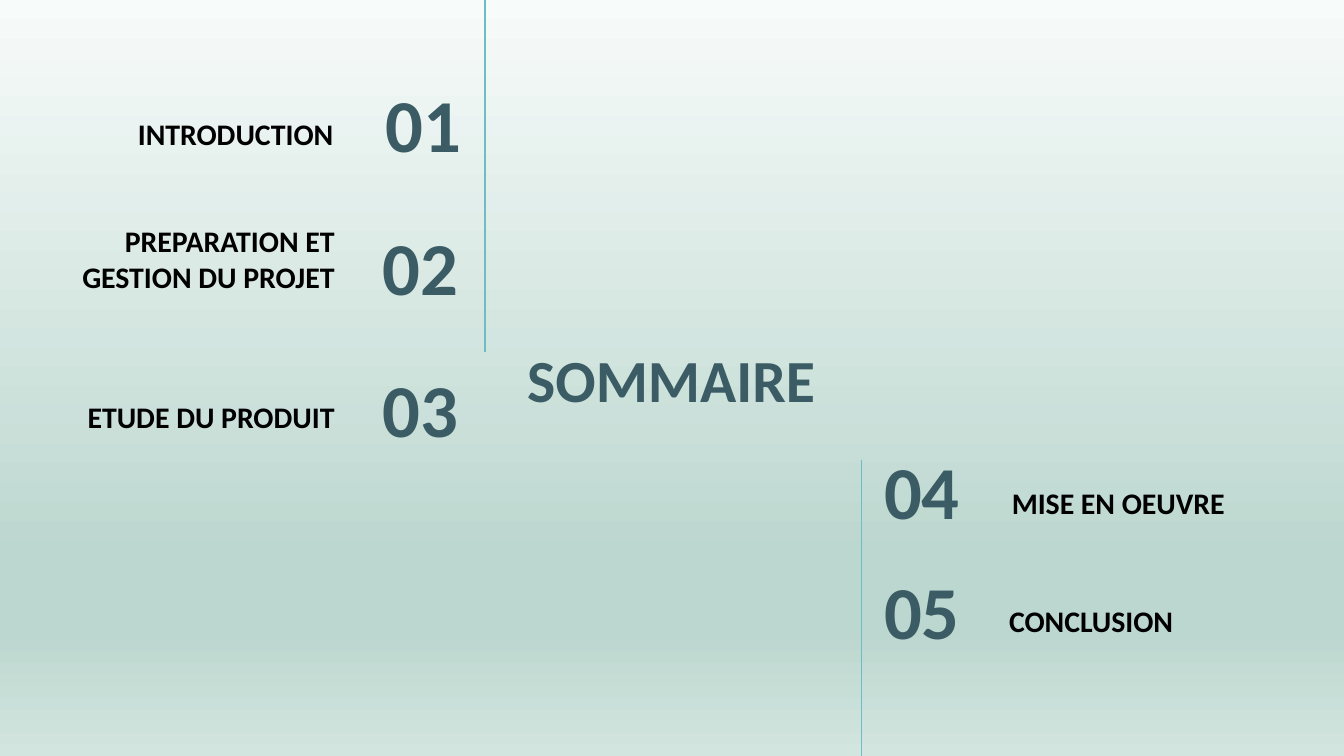
from lxml import etree
from pptx import Presentation
from pptx import util as u
from pptx.dml.color import RGBColor
from pptx.enum import shapes, text
from pptx.oxml.ns import qn

COLORS = {"slate": "3B5C65", "black": "000000", "teal": "6EBDC4"}
GRADIENT = [(0, "F7FBFA"), (74, "BCD7CF"), (83, "BCD7CF"), (100, "D2E5DF")]
WIDTH = 10
HEIGHT = WIDTH * 9 / 16
FONT = "Calibri"
ROW_H, LABEL_W = 0.63, 2.16
RIGHT, LEFT = text.PP_ALIGN.RIGHT, text.PP_ALIGN.LEFT

TITLE = "SOMMAIRE"
# Per group: alignment, number width, then entries of
# (number, its left and top, label, its left and top)
GROUPS = [
    (RIGHT, 1.21, [
        ("01", (2.32, 0.6), "INTRODUCTION", (0.42, 0.6)),
        ("02", (2.3, 1.66), "PREPARATION ET GESTION DU PROJET", (0.43, 1.66)),
        ("03", (2.3, 2.72), "ETUDE DU PRODUIT", (0.43, 2.7)),
    ]),
    (LEFT, 1.17, [
        ("04", (6.48, 3.33), "MISE EN OEUVRE", (7.43, 3.34)),
        ("05", (6.48, 4.22), "CONCLUSION", (7.41, 4.22)),
    ]),
]
RULES = [(3.61, 0, 2.62), (6.41, 3.42, 5.64)]  # x, top, bottom


def write(sp, content, size, color, align, anchor=text.MSO_ANCHOR.MIDDLE):
    tf = sp.text_frame
    tf.word_wrap = True
    tf.auto_size = text.MSO_AUTO_SIZE.NONE
    tf.vertical_anchor = anchor
    tf.margin_left = tf.margin_right = u.Inches(0.1)
    tf.margin_top = tf.margin_bottom = u.Inches(0.1)
    p = tf.paragraphs[0]
    p.alignment = align
    r = p.add_run()
    r.text = content
    r.font.name, r.font.size, r.font.bold = FONT, u.Pt(size), True
    r.font.color.rgb = RGBColor.from_string(COLORS[color])


def add_text(s, content, corner, width, **fmt):
    box = [u.Inches(v) for v in (*corner, width, ROW_H)]
    write(s.shapes.add_textbox(*box), content, **fmt)


def add_rule(s, x, top, bottom):
    ends = [u.Inches(v) for v in (x, top, x, bottom)]
    line = s.shapes.add_connector(shapes.MSO_CONNECTOR.STRAIGHT, *ends)
    line.line.width = u.Pt(0.75)
    line.line.color.rgb = RGBColor.from_string(COLORS["teal"])
    etree.SubElement(line._element.spPr, qn("a:effectLst"))


def set_background(s):
    fill = s.background.fill
    fill.gradient()
    fill.gradient_angle = 270
    stops = s._element.find(".//" + qn("a:gsLst"))
    for stop in list(stops):
        stops.remove(stop)
    for pos, color in GRADIENT:
        stop = etree.SubElement(stops, qn("a:gs"), pos=str(pos * 1000))
        etree.SubElement(stop, qn("a:srgbClr"), val=color)


def main():
    prs = Presentation()
    prs.slide_width, prs.slide_height = u.Inches(WIDTH), u.Inches(HEIGHT)
    s = prs.slides.add_slide(prs.slide_layouts[5])
    set_background(s)

    title = s.shapes.title
    title.left, title.top = u.Inches(3.7), u.Inches(2.3)
    title.width, title.height = u.Inches(2.59), u.Inches(1.03)
    write(title, TITLE, 32, "slate", text.PP_ALIGN.CENTER)

    for align, number_w, entries in GROUPS:
        for number, number_at, label, label_at in entries:
            add_text(s, number, number_at, number_w,
                     size=40, color="slate", align=align)
            add_text(s, label, label_at, LABEL_W, size=16, color="black",
                     align=align, anchor=text.MSO_ANCHOR.BOTTOM)
    for rule in RULES:
        add_rule(s, *rule)
    prs.save("out.pptx")


if __name__ == "__main__":
    main()
